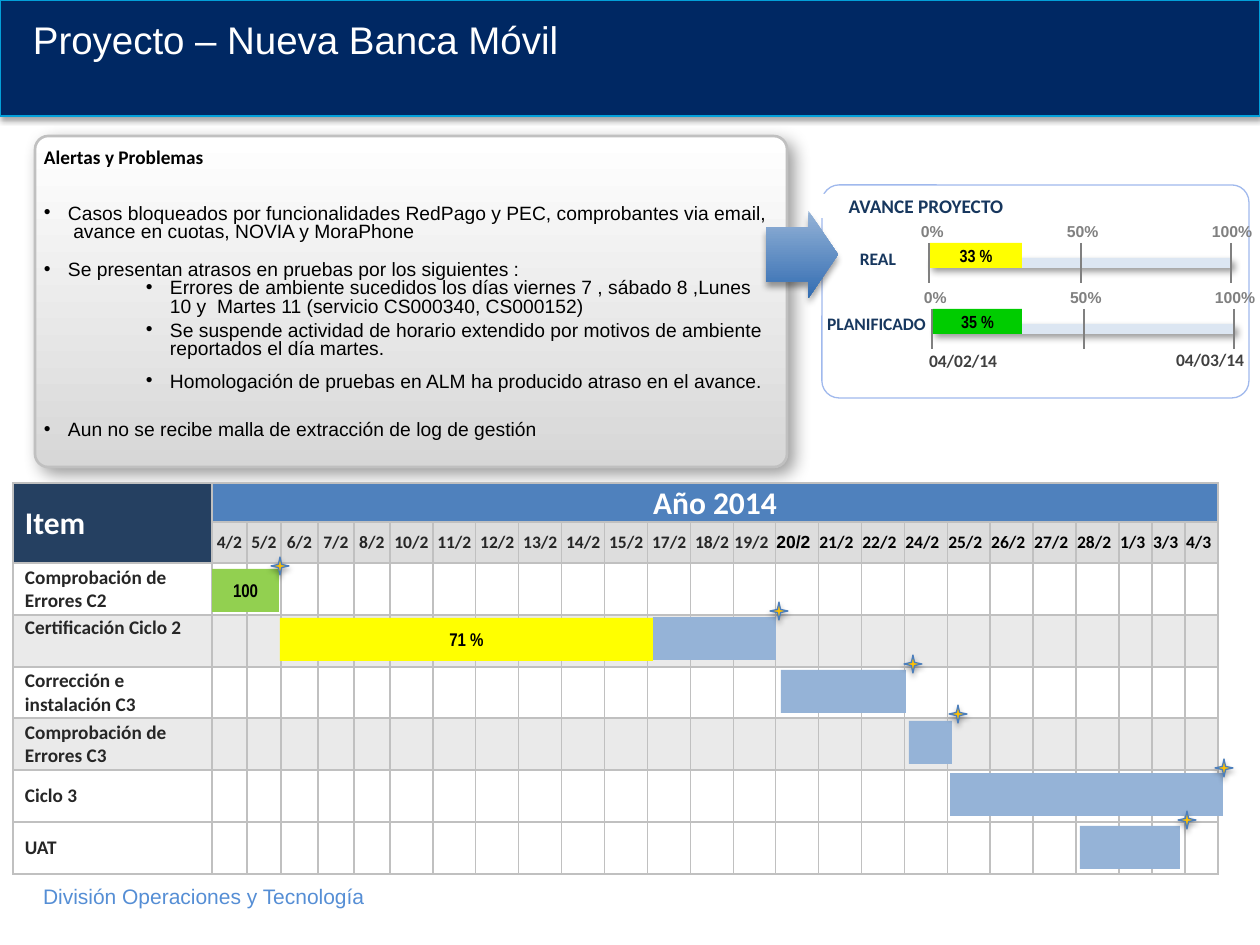
from itertools import accumulate

from lxml.etree import SubElement
from pptx import Presentation
from pptx.dml.color import RGBColor
from pptx.enum.shapes import MSO_CONNECTOR as Connector, MSO_SHAPE as Shape
from pptx.enum.text import MSO_ANCHOR as Anchor, PP_ALIGN as Align
from pptx.oxml.ns import qn
from pptx.util import Emu, Pt

EMU_PER_PIXEL = 914400 / 126
INSET = (13, 6, 13, 6)
BAR_SHADOW = (40, 4, 3, 45)
EDGE_SHADOW = (35, 3.1, 1.8, 90)
PLANNED = "95B3D7"
GRID = "C0C0C0"

DATES = ("4/2 5/2 6/2 7/2 8/2 10/2 11/2 12/2 13/2 14/2 15/2 17/2 18/2 19/2 20/2 "
         "21/2 22/2 24/2 25/2 26/2 27/2 28/2 1/3 3/3 4/3").split()
COLUMN_WIDTHS = [199, 35, 34, 37, 36, 36] + [43] * 8 + [42] + [43] * 8 + [33, 33, 33]
ROW_HEIGHTS = [38, 41, 52, 52, 51, 52, 52, 52]
TASKS = [
    ("Comprobación de Errores C2", "FFFFFF"),
    ("Certificación Ciclo 2", "EAEAEA"),
    ("Corrección e instalación C3", "FFFFFF"),
    ("Comprobación de Errores C3", "EAEAEA"),
    ("Ciclo 3", "FFFFFF"),
    ("UAT", "FFFFFF"),
]
ALERTS = [
    ("Casos bloqueados por funcionalidades RedPago y PEC, comprobantes via email,"
     "  avance en cuotas, NOVIA y MoraPhone", 24, 21),
    ("Se presentan atrasos en pruebas por los siguientes :", 24, 11),
    ("Errores de ambiente sucedidos los días viernes 7 , sábado 8 ,Lunes 10 y  "
     "Martes 11 (servicio CS000340, CS000152)", 126, 0),
    ("Se suspende actividad de horario extendido por motivos de ambiente "
     "reportados el día martes.", 126, 3),
    ("Homologación de pruebas en ALM ha producido atraso en el avance.", 126, 8),
    ("Aun no se recibe malla de extracción de log de gestión", 24, 17),
]
BARS = [
    (653, 617, 123, PLANNED, ""),
    (212, 569, 67, "92D050", "100"),
    (909, 721, 43, PLANNED, ""),
    (781, 670, 125, PLANNED, ""),
    (950, 773, 273, PLANNED, ""),
    (1080, 826, 100, PLANNED, ""),
    (280, 618, 373, "FFFF00", "71 %"),
]
MILESTONES = [(770, 602), (271, 557), (904, 655), (949, 705), (1215, 759), (1178, 811)]


def px(length):
    return Emu(round(length * EMU_PER_PIXEL))


def color(code):
    return RGBColor.from_string(code)


def write(frame, text, size=11, font="Calibri", ink="000000", bold=False,
          align=Align.LEFT, spacing=None, before=0, indent=0):
    para = frame.paragraphs[0]
    if para.runs:
        para = frame.add_paragraph()
    para.alignment = align
    para.line_spacing = spacing
    para.space_before = Pt(before)
    if indent:
        props = para._p.get_or_add_pPr()
        props.set("marL", str(px(indent)))
        props.set("indent", str(-px(24)))
        SubElement(props, qn("a:buFont"), typeface="Arial")
        SubElement(props, qn("a:buChar"), char="•")
    span = para.add_run()
    span.text = text
    span.font.size = Pt(size)
    span.font.name = font
    span.font.bold = bold
    span.font.color.rgb = color(ink)


def set_margins(target, margins):
    (target.margin_left, target.margin_top,
     target.margin_right, target.margin_bottom) = map(px, margins)


def add_text(page, place, text, margins=INSET, **style):
    box = page.shapes.add_textbox(*map(px, place))
    box.text_frame.word_wrap = True
    set_margins(box.text_frame, margins)
    write(box.text_frame, text, **style)
    return box.text_frame


def add_shadow(shape, alpha, blur, distance, angle):
    effects = shape._element.spPr.find(qn("a:effectLst"))
    outer = SubElement(effects, qn("a:outerShdw"), blurRad=str(Pt(blur)),
                       dist=str(Pt(distance)), dir=str(angle * 60000),
                       algn="ctr", rotWithShape="0")
    tint = SubElement(outer, qn("a:srgbClr"), val="000000")
    SubElement(tint, qn("a:alpha"), val=str(alpha * 1000))


def add_block(page, kind, place, fill=None, gradient=None, angle=0, line=None,
              width=0.75, shadow=None, adjust=(), text="", margins=INSET,
              anchor=Anchor.MIDDLE, **style):
    shape = page.shapes.add_shape(kind, *map(px, place))
    shape.shadow.inherit = False
    for index, value in enumerate(adjust):
        shape.adjustments[index] = value
    if gradient:
        shape.fill.gradient()
        shape.fill.gradient_angle = angle
        for stop, code in zip(shape.fill.gradient_stops, gradient):
            stop.color.rgb = color(code)
    elif fill:
        shape.fill.solid()
        shape.fill.fore_color.rgb = color(fill)
    else:
        shape.fill.background()
    if line:
        shape.line.color.rgb = color(line)
        shape.line.width = Pt(width)
    else:
        shape.line.fill.background()
    if shadow:
        add_shadow(shape, *shadow)
    if text:
        shape.text_frame.word_wrap = True
        shape.text_frame.vertical_anchor = anchor
        set_margins(shape.text_frame, margins)
        write(shape.text_frame, text, align=Align.CENTER, bold=True, **style)


def add_tick(page, x, top, height):
    tick = page.shapes.add_connector(Connector.STRAIGHT, px(x), px(top), px(x), px(top + height))
    tick.line.color.rgb = color("808080")
    tick.line.width = Pt(0.75)
    SubElement(tick._element.spPr, qn("a:effectLst"))


def add_scale(page, left, top):
    add_block(page, Shape.RECTANGLE, (left, top + 15, 302, 10), "DCE6F2", shadow=BAR_SHADOW)
    for label, tick, offset, width in (("0%", 0, -21, 48), ("50%", 152, 125, 57),
                                       ("100%", 302, 270, 61)):
        add_tick(page, left + tick, top, 40)
        add_text(page, (left + offset, top - 27, width, 31), label, margins=(13, 6, 0, 6),
                 size=9, font="Arial", ink="808080", bold=True)


def format_cell(cell, fill, text="", left=1, anchor=Anchor.MIDDLE, **style):
    props = cell._tc.get_or_add_tcPr()
    for side in ("lnL", "lnR", "lnT", "lnB"):
        edge = SubElement(props, qn(f"a:{side}"), w=str(Pt(1)))
        solid = SubElement(edge, qn("a:solidFill"))
        SubElement(solid, qn("a:srgbClr"), val=GRID)
    cell.fill.solid()
    cell.fill.fore_color.rgb = color(fill)
    cell.vertical_anchor = anchor
    set_margins(cell, (left, 1, 1, 0))
    if text:
        write(cell.text_frame, text, bold=True, **style)


def add_schedule(page):
    size = (sum(COLUMN_WIDTHS), sum(ROW_HEIGHTS))
    table = page.shapes.add_table(len(ROW_HEIGHTS), len(COLUMN_WIDTHS),
                                  *map(px, (13, 483, *size))).table
    table.first_row = table.horz_banding = False
    for column, left, right in zip(table.columns, [0, *accumulate(COLUMN_WIDTHS)],
                                   accumulate(COLUMN_WIDTHS)):
        column.width = px(right - left)
    for row, height in zip(table.rows, ROW_HEIGHTS):
        row.height = px(height)
    last = len(DATES)
    table.cell(0, 0).merge(table.cell(1, 0))
    table.cell(0, 1).merge(table.cell(0, last))
    format_cell(table.cell(0, 0), "254061", "Item", 12, size=18, ink="FFFFFF")
    format_cell(table.cell(1, 0), "254061")
    format_cell(table.cell(0, 1), "4F81BD", "Año 2014", size=18, ink="FFFFFF",
                align=Align.CENTER)
    for index, date in enumerate(DATES, 1):
        if index > 1:
            format_cell(table.cell(0, index), "4F81BD")
        format_cell(table.cell(1, index), "DDDDDD", date, size=10,
                    font="Arial" if date == "20/2" else "Calibri",
                    ink="262626" if index < 15 else "000000",
                    align=Align.CENTER if index < 14 else Align.LEFT)
    for row, (task, fill) in enumerate(TASKS, 2):
        format_cell(table.cell(row, 0), fill, task, 12, ink="262626",
                    anchor=Anchor.TOP if row == 3 else Anchor.MIDDLE)
        for index in range(1, last + 1):
            format_cell(table.cell(row, index), fill)


def add_alerts(page):
    add_block(page, Shape.ROUNDED_RECTANGLE, (35, 136, 752, 331), gradient=("D7D7D7", "FFFFFF"),
              angle=90, line=GRID, width=1.5, shadow=(40, 10, 5, 45), adjust=(0.04,))
    frame = add_text(page, (31, 136, 743, 320), "Alertas y Problemas",
                     margins=(13, 14, 4, 0), bold=True, spacing=0.8)
    for text, indent, before in ALERTS:
        write(frame, text, font="Arial", spacing=0.8, before=before, indent=indent)


def add_progress(page):
    add_block(page, Shape.ROUNDED_RECTANGLE, (822, 185, 427, 213), line="A0B9ED", adjust=(0.08,))
    for place, text, size in (((815, 194, 222, 24), "AVANCE PROYECTO", 11),
                              ((846, 248, 64, 21), "REAL", 10),
                              ((827, 313, 99, 43), "PLANIFICADO", 10)):
        add_block(page, Shape.RECTANGLE, place, "FFFFFF", text=text, size=size,
                  ink="17375E", margins=(0, 0, 0, 0), anchor=Anchor.TOP)
    for left, top, start, fill, text in ((929, 243, 930, "FFFF00", "33 %"),
                                         (932, 309, 933, "00CC00", "35 %")):
        add_scale(page, left, top)
        add_block(page, Shape.RECTANGLE, (start, top, 1022 - start, 25), fill,
                  text=text, size=10, font="Arial Narrow")
    for left, top, date in ((924, 345, "04/02/14"), (1171, 344, "04/03/14")):
        add_text(page, (left, top, 84, 31), date, margins=(5, 5, 0, 5),
                 size=10, ink="404040", bold=True)
    add_block(page, Shape.RIGHT_ARROW, (766, 211, 72, 87), gradient=("95B3D7", "336DB2"),
              angle=270, shadow=(40, 4, 3, 90), adjust=(0.62, 0.41))


def main():
    deck = Presentation()
    deck.slide_width, deck.slide_height = px(1260), px(945)
    page = deck.slides.add_slide(deck.slide_layouts[6])
    add_block(page, Shape.ROUNDED_RECTANGLE, (0, 0, 1260, 116), "002863", line="03A0D9",
              shadow=EDGE_SHADOW, adjust=(0,))
    add_text(page, (20, 10, 1007, 59), "Proyecto – Nueva Banca Móvil", size=22,
             font="Arial", ink="FFFFFF")
    add_text(page, (30, 878, 373, 38), "División Operaciones y Tecnología", size=12,
             font="Arial", ink="558ED5")
    add_alerts(page)
    add_progress(page)
    add_schedule(page)
    for left, top, width, fill, text in BARS:
        add_block(page, Shape.RECTANGLE, (left, top, width, 43), fill, text=text,
                  size=10.5, font="Arial Narrow")
    for left, top in MILESTONES:
        add_block(page, Shape.STAR_4_POINT, (left, top, 18, 18), "FFC000", line="4B7EBC",
                  shadow=EDGE_SHADOW)
    deck.save("out.pptx")


main()
